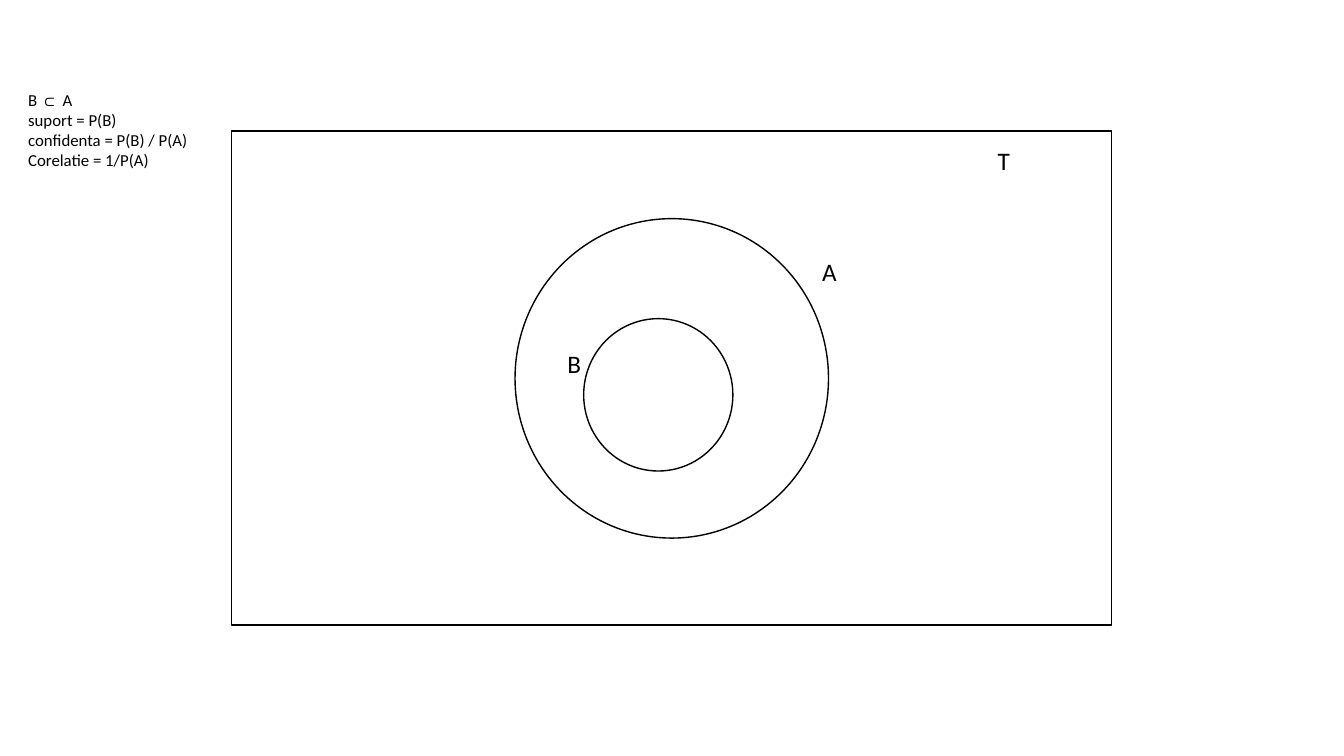
"""Build a slide with a Venn diagram of nested sets and its rule measures."""
import pptx
import pptx.dml.color
import pptx.enum.shapes
import pptx.enum.text
import pptx.util

Cm = pptx.util.Cm
Pt = pptx.util.Pt
SHAPES = pptx.enum.shapes.MSO_SHAPE
BLACK = "000000"
WHITE = "FFFFFF"
FRAME_FORMAT = {
    "margin_left": Cm(0.25),
    "margin_right": Cm(0.25),
    "margin_top": Cm(0.13),
    "margin_bottom": Cm(0.13),
    "vertical_anchor": pptx.enum.text.MSO_ANCHOR.TOP,
    "auto_size": pptx.enum.text.MSO_AUTO_SIZE.SHAPE_TO_FIT_TEXT,
}


def color(value):
    """Return the colour for a hex string."""
    return pptx.dml.color.RGBColor.from_string(value)


def set_attributes(target, values):
    """Set each named attribute of the target."""
    for name, value in values.items():
        setattr(target, name, value)


def add_outline(slide, kind, box, fill=None):
    """Add a black outlined shape, hollow unless a fill is given."""
    shape = slide.shapes.add_shape(kind, *map(Cm, box))
    shape.shadow.inherit = False
    if fill:
        shape.fill.solid()
        shape.fill.fore_color.rgb = color(fill)
    else:
        shape.fill.background()
    shape.line.color.rgb = color(BLACK)
    shape.line.width = Pt(1)


def add_text(slide, box, lines, size, wrap=False):
    """Add a text box whose lines are lists of (text, font name) runs."""
    frame = slide.shapes.add_textbox(*map(Cm, box)).text_frame
    set_attributes(frame, {**FRAME_FORMAT, "word_wrap": wrap})
    for index, runs in enumerate(lines):
        paragraph = frame.add_paragraph() if index else frame.paragraphs[0]
        for text, font_name in runs:
            run = paragraph.add_run()
            run.text = text
            set_attributes(run.font, {"name": font_name, "size": Pt(size)})
            run.font.color.rgb = color(BLACK)


def main():
    """Build and save the presentation."""
    presentation = pptx.Presentation()
    set_attributes(presentation, {"slide_width": Cm(33.87), "slide_height": Cm(19.05)})
    slide = presentation.slides.add_slide(presentation.slide_layouts[6])

    add_outline(slide, SHAPES.OVAL, (14.71, 8.03, 3.76, 3.84), WHITE)
    add_outline(slide, SHAPES.RECTANGLE, (5.84, 3.3, 22.17, 12.45))
    add_outline(slide, SHAPES.OVAL, (12.98, 5.51, 7.9, 8.05))

    set_labels = {
        "T": (24.89, 3.53, 0.81, 1.8),
        "A": (20.47, 6.32, 0.89, 1.02),
        "B": (14.05, 8.64, 0.86, 1.8),
    }
    for label, box in set_labels.items():
        add_text(slide, box, [[(label, "Calibri")]], 18)

    measures = [
        [("B ", "Calibri"), ("⊂ ", "Arial"), ("A", "Calibri")],
        [("suport = P(B)", "Calibri")],
        [("confidenta = P(B) / P(A)", "Calibri")],
        [("Corelatie = 1/P(A)", "Calibri")],
    ]
    add_text(slide, (0.46, 2.13, 4.98, 2.31), measures, 12, wrap=True)
    presentation.save("out.pptx")


if __name__ == "__main__":
    main()
